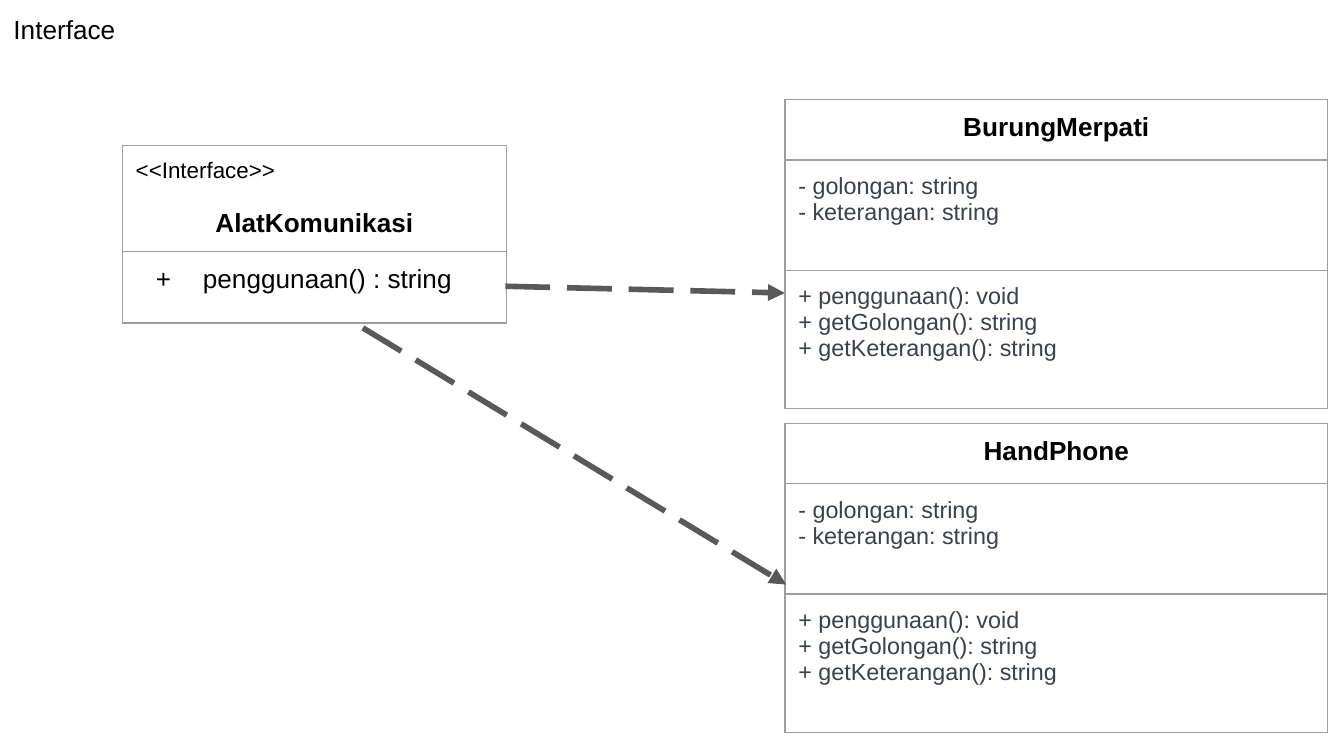
from lxml import etree
from pptx import Presentation
from pptx.dml.color import RGBColor
from pptx.enum.dml import MSO_LINE
from pptx.enum.shapes import MSO_CONNECTOR
from pptx.enum.text import MSO_ANCHOR, MSO_AUTO_SIZE, PP_ALIGN
from pptx.oxml.ns import qn
from pptx.util import Inches, Pt

COLORS = {"black": "000000", "member": "3A414A", "border": "9E9E9E", "arrow": "595959"}
FONT = "Arial"
PAD = Inches(0.1)
CLASS_ROWS = [0.45, 0.82, 1.03]
ATTRIBUTES = ["- golongan: string", "- keterangan: string"]
METHODS = ["+ penggunaan(): void", "+ getGolongan(): string", "+ getKeterangan(): string"]


def rgb(name):
    """Return a palette colour."""
    return RGBColor.from_string(COLORS[name])


def add_text(p, text, size, color="black", bold=False, align=PP_ALIGN.LEFT):
    """Add one formatted run to a paragraph."""
    p.alignment = align
    r = p.add_run()
    r.text = text
    r.font.name, r.font.size, r.font.bold = FONT, Pt(size), bold
    r.font.color.rgb = rgb(color)


def add_bullet(p, char, size):
    """Give a paragraph a hanging bullet."""
    p_pr = p._p.get_or_add_pPr()
    p_pr.set("marL", str(Inches(0.5)))
    p_pr.set("indent", str(Inches(-0.35)))
    color = etree.SubElement(p_pr, qn("a:buClr"))
    etree.SubElement(color, qn("a:srgbClr"), val=COLORS["black"])
    etree.SubElement(p_pr, qn("a:buSzPts"), val=str(size * 100))
    etree.SubElement(p_pr, qn("a:buFont"), typeface=FONT)
    etree.SubElement(p_pr, qn("a:buChar"), char=char)


def set_padding(box):
    """Give a cell or text frame equal margins and top anchoring."""
    box.margin_left = box.margin_right = box.margin_top = box.margin_bottom = PAD
    box.vertical_anchor = MSO_ANCHOR.TOP


def format_cell(cell):
    """Clear the fill and draw thin borders on all four sides."""
    set_padding(cell)
    cell.fill.background()
    tc_pr = cell._tc.get_or_add_tcPr()
    for i, side in enumerate(("lnL", "lnR", "lnT", "lnB")):
        ln = etree.Element(qn(f"a:{side}"), w=str(Pt(0.75)))
        fill = etree.SubElement(ln, qn("a:solidFill"))
        etree.SubElement(fill, qn("a:srgbClr"), val=COLORS["border"])
        tc_pr.insert(i, ln)


def add_uml_box(slide, left, top, width, heights):
    """Add a one-column table and return the text frames of its rows."""
    frame = slide.shapes.add_table(len(heights), 1, Inches(left), Inches(top),
                                   Inches(width), Inches(sum(heights)))
    table = frame.table
    table.first_row = table.horz_banding = False
    for row, height in zip(table.rows, heights):
        row.height = Inches(height)
        format_cell(row.cells[0])
    return [row.cells[0].text_frame for row in table.rows]


def add_interface(slide, left, top, name, method):
    """Add the interface box with its stereotype, name and method."""
    head, body = add_uml_box(slide, left, top, 2.86, [0.79, 0.53])
    add_text(head.paragraphs[0], "<<Interface>>", 12)
    p = head.add_paragraph()
    p.space_before = Pt(13.5)
    add_text(p, name, 14, bold=True, align=PP_ALIGN.CENTER)
    p = body.paragraphs[0]
    add_text(p, method, 14)
    add_bullet(p, "+", 14)


def add_class(slide, left, top, name):
    """Add a class box with its name, attributes and methods."""
    head, *bodies = add_uml_box(slide, left, top, 4.04, CLASS_ROWS)
    add_text(head.paragraphs[0], name, 14, bold=True, align=PP_ALIGN.CENTER)
    for tf, members in zip(bodies, (ATTRIBUTES, METHODS)):
        for i, member in enumerate(members):
            p = tf.add_paragraph() if i else tf.paragraphs[0]
            add_text(p, member, 12.5, "member")


def add_arrow(slide, *ends):
    """Add a dashed arrow between x1, y1 and x2, y2."""
    line = slide.shapes.add_connector(MSO_CONNECTOR.STRAIGHT, *map(Inches, ends))
    line.line.color.rgb = rgb("arrow")
    line.line.width = Pt(3)
    line.line.dash_style = MSO_LINE.LONG_DASH
    etree.SubElement(line.line._get_or_add_ln(), qn("a:tailEnd"), type="triangle")
    etree.SubElement(line._element.spPr, qn("a:effectLst"))


def add_title(slide, left, top, width, height, text):
    """Place and format the title placeholder."""
    sp = slide.shapes.title
    sp.left, sp.top, sp.width, sp.height = map(Inches, (left, top, width, height))
    tf = sp.text_frame
    tf.word_wrap = True
    tf.auto_size = MSO_AUTO_SIZE.NONE
    set_padding(tf)
    add_text(tf.paragraphs[0], text, 14)


def build():
    """Build the interface diagram slide."""
    prs = Presentation()
    prs.slide_width = Inches(10)
    prs.slide_height = prs.slide_width * 9 // 16
    slide = prs.slides.add_slide(prs.slide_layouts[5])
    add_title(slide, 0, 0, 3.28, 0.44, "Interface")
    add_interface(slide, 0.91, 1.08, "AlatKomunikasi", "penggunaan() : string")
    for top, name in ((0.74, "BurungMerpati"), (3.15, "HandPhone")):
        add_class(slide, 5.84, top, name)
    add_arrow(slide, 3.76, 2.13, 5.84, 2.18)
    add_arrow(slide, 2.7, 2.44, 5.85, 4.35)
    prs.save("out.pptx")


build()
